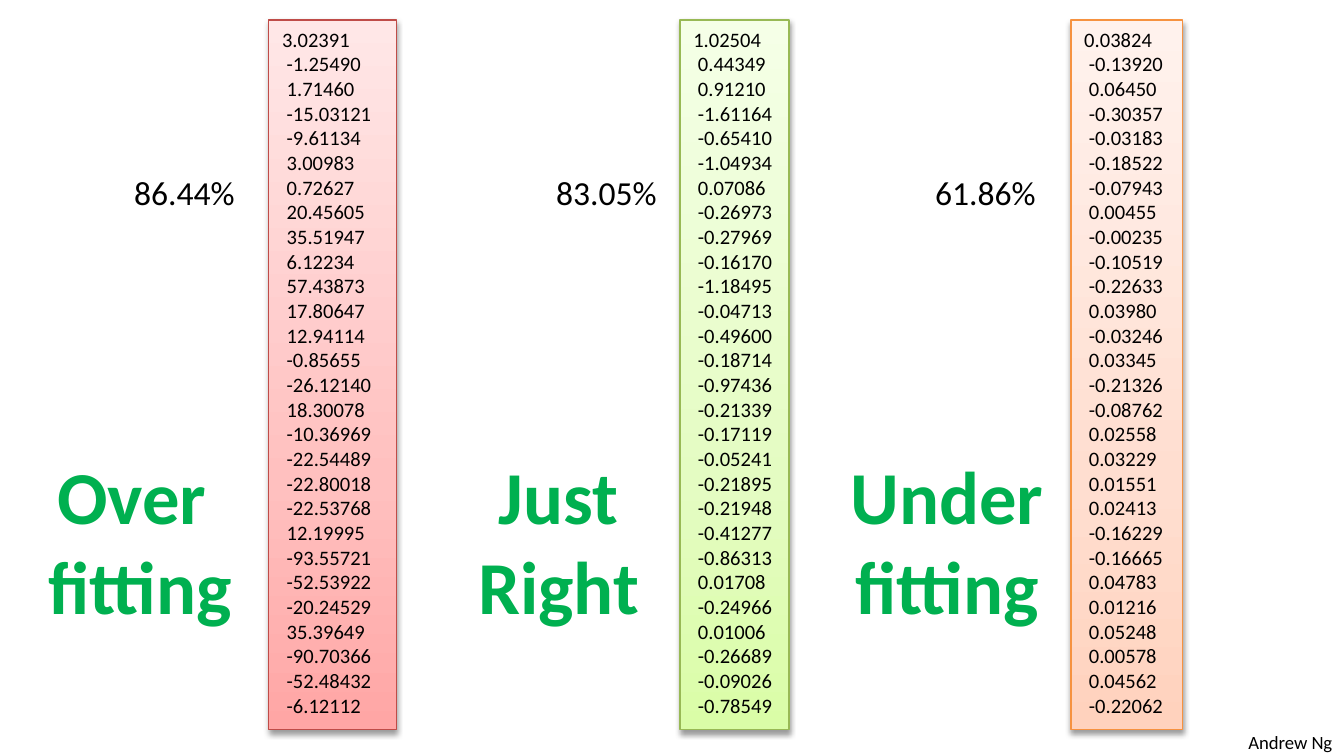
from copy import deepcopy
from dataclasses import dataclass

from lxml.etree import SubElement
from pptx import Presentation
from pptx.dml.color import RGBColor
from pptx.enum.shapes import MSO_SHAPE
from pptx.enum.text import MSO_ANCHOR, PP_ALIGN
from pptx.oxml.ns import qn
from pptx.shapes.autoshape import Shape
from pptx.slide import Slide
from pptx.util import Pt

FONT = "Calibri"
BLACK = RGBColor(0x00, 0x00, 0x00)
GREEN = RGBColor(0x00, 0xB0, 0x50)
PALE_RED = RGBColor(0xFF, 0xE7, 0xE7)
MID_RED = RGBColor(0xFF, 0xC0, 0xBF)
DEEP_RED = RGBColor(0xFF, 0xA6, 0xA5)
RED_LINE = RGBColor(0xBF, 0x4C, 0x48)
PALE_LIME = RGBColor(0xF5, 0xFF, 0xE7)
MID_LIME = RGBColor(0xE4, 0xFC, 0xC2)
DEEP_LIME = RGBColor(0xDA, 0xFD, 0xA7)
LIME_LINE = RGBColor(0x98, 0xB9, 0x55)
PALE_ORANGE = RGBColor(0xFF, 0xF2, 0xED)
MID_ORANGE = RGBColor(0xFF, 0xDE, 0xD0)
DEEP_ORANGE = RGBColor(0xFF, 0xD2, 0xBD)
ORANGE_LINE = RGBColor(0xF6, 0x92, 0x40)

STOPS = (0, 0.35, 1)
COLUMN_TOP, COLUMN_HEIGHT = 10.8, 380.2
VALUE_INDENT = 2.5


@dataclass
class Model:
    verdict: list[str]
    verdict_left: float
    accuracy: str
    accuracy_left: float
    column_left: float
    column_width: float
    gradient: tuple[RGBColor, RGBColor, RGBColor]
    line: RGBColor
    weights: list[str]


MODELS = [
    Model(["Over ", "fitting"], 12.2, "86.44%", 64.8, 144, 68.4,
          (DEEP_RED, MID_RED, PALE_RED), RED_LINE,
          """3.02391 -1.25490 1.71460 -15.03121 -9.61134 3.00983 0.72627
          20.45605 35.51947 6.12234 57.43873 17.80647 12.94114 -0.85655
          -26.12140 18.30078 -10.36969 -22.54489 -22.80018 -22.53768 12.19995
          -93.55721 -52.53922 -20.24529 35.39649 -90.70366 -52.48432
          -6.12112""".split()),
    Model(["Just", "Right"], 236.2, "83.05%", 290.9, 364.3, 58.3,
          (DEEP_LIME, MID_LIME, PALE_LIME), LIME_LINE,
          """1.02504 0.44349 0.91210 -1.61164 -0.65410 -1.04934 0.07086
          -0.26973 -0.27969 -0.16170 -1.18495 -0.04713 -0.49600 -0.18714
          -0.97436 -0.21339 -0.17119 -0.05241 -0.21895 -0.21948 -0.41277
          -0.86313 0.01708 -0.24966 0.01006 -0.26689 -0.09026
          -0.78549""".split()),
    Model(["Under ", "fitting"], 444.2, "61.86%", 493.9, 573.8, 59.8,
          (DEEP_ORANGE, MID_ORANGE, PALE_ORANGE), ORANGE_LINE,
          """0.03824 -0.13920 0.06450 -0.30357 -0.03183 -0.18522 -0.07943
          0.00455 -0.00235 -0.10519 -0.22633 0.03980 -0.03246 0.03345
          -0.21326 -0.08762 0.02558 0.03229 0.01551 0.02413 -0.16229
          -0.16665 0.04783 0.01216 0.05248 0.00578 0.04562
          -0.22062""".split()),
]


def write_lines(sp: Shape, lines: list[str], size: float, color: RGBColor = BLACK,
                bold: bool = False, align: PP_ALIGN = PP_ALIGN.LEFT) -> None:
    tf = sp.text_frame
    tf.vertical_anchor = MSO_ANCHOR.TOP
    tf.text = "\n".join(lines)
    for p in tf.paragraphs:
        p.alignment = align
        p.font.name = FONT
        p.font.size = Pt(size)
        p.font.bold = bold
        p.font.color.rgb = color


def add_label(s: Slide, left: float, top: float, width: float, height: float,
              lines: list[str], size: float, wrap: bool = False, **style) -> None:
    sp = s.shapes.add_textbox(Pt(left), Pt(top), Pt(width), Pt(height))
    sp.text_frame.word_wrap = wrap
    write_lines(sp, lines, size, **style)


def fill_upward(sp: Shape, colors: tuple[RGBColor, RGBColor, RGBColor]) -> None:
    """Fill with a three-stop gradient running from bottom to top."""
    sp.fill.gradient()
    sp.fill.gradient_angle = 90
    stop_list = sp._element.spPr.find(qn("a:gradFill")).find(qn("a:gsLst"))
    stop_list.append(deepcopy(stop_list[-1]))
    for stop, position, color in zip(sp.fill.gradient_stops, STOPS, colors):
        stop.position = position
        stop.color.rgb = color


def add_soft_shadow(sp: Shape) -> None:
    sp.shadow.inherit = False
    effects = sp._element.spPr.find(qn("a:effectLst"))
    shadow = SubElement(effects, qn("a:outerShdw"), blurRad=str(Pt(3.1)),
                        dist=str(Pt(1.6)), dir="5400000", rotWithShape="0")
    color = SubElement(shadow, qn("a:srgbClr"), val=str(BLACK))
    SubElement(color, qn("a:alpha"), val="38000")


def add_weight_column(s: Slide, model: Model) -> None:
    sp = s.shapes.add_shape(MSO_SHAPE.RECTANGLE, Pt(model.column_left), Pt(COLUMN_TOP),
                            Pt(model.column_width), Pt(COLUMN_HEIGHT))
    fill_upward(sp, model.gradient)
    sp.line.color.rgb = model.line
    sp.line.width = Pt(0.75)
    add_soft_shadow(sp)
    sp.text_frame.word_wrap = True
    write_lines(sp, model.weights, 11)
    for p in sp.text_frame.paragraphs[1:]:
        p._p.get_or_add_pPr().set("marL", str(Pt(VALUE_INDENT)))


def main() -> None:
    prs = Presentation()
    prs.slide_width, prs.slide_height = Pt(720), Pt(405)
    s = prs.slides.add_slide(prs.slide_layouts[6])
    add_label(s, 661.7, 388.1, 60.5, 19.4, ["Andrew Ng"], 10)
    for model in MODELS:
        add_weight_column(s, model)
        add_label(s, model.accuracy_left, 88.6, 69.1, 28.8, [model.accuracy], 18)
        add_label(s, model.verdict_left, 237.6, 126, 104.4, model.verdict, 40,
                  wrap=True, color=GREEN, bold=True, align=PP_ALIGN.CENTER)
    prs.save("out.pptx")


if __name__ == "__main__":
    main()
